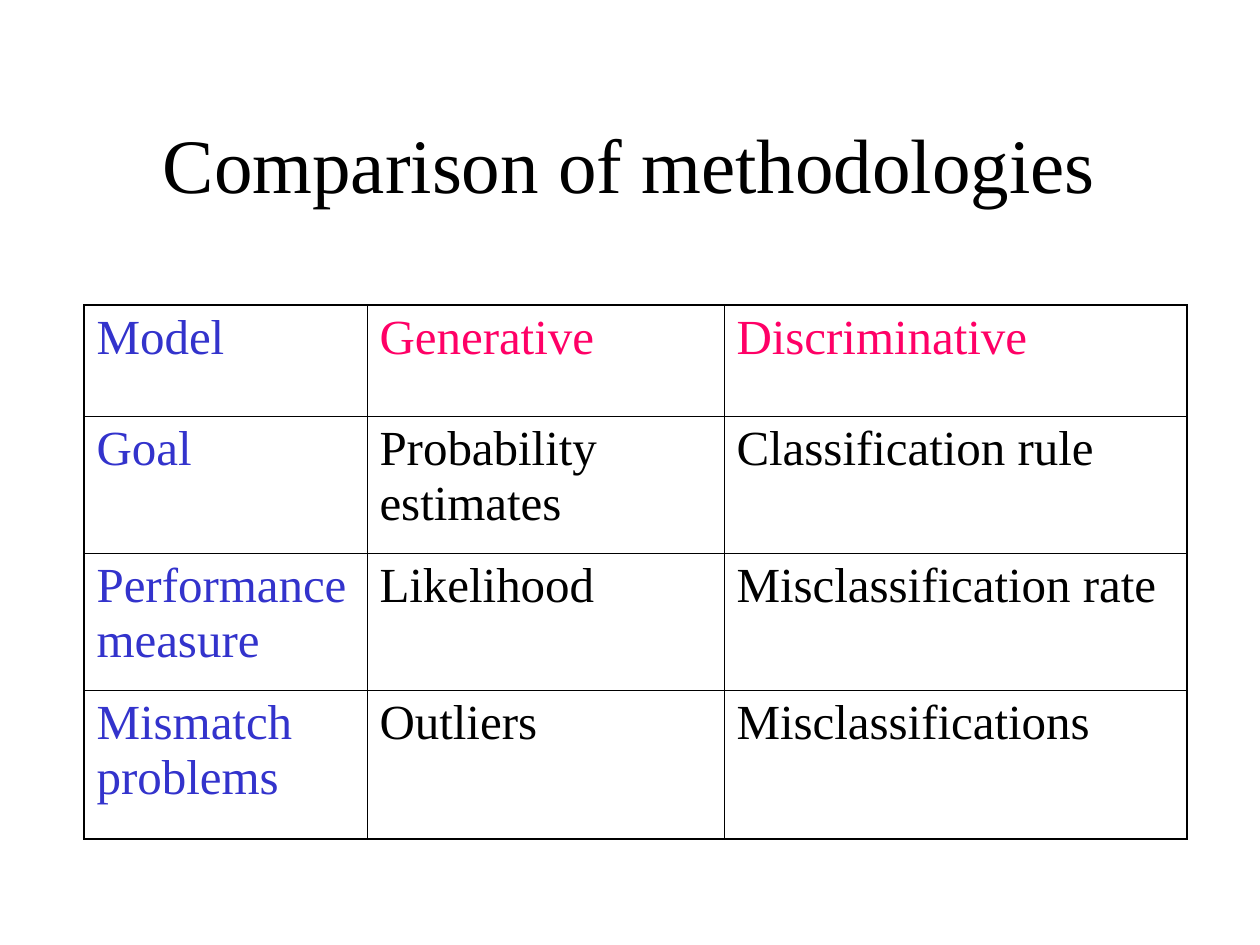
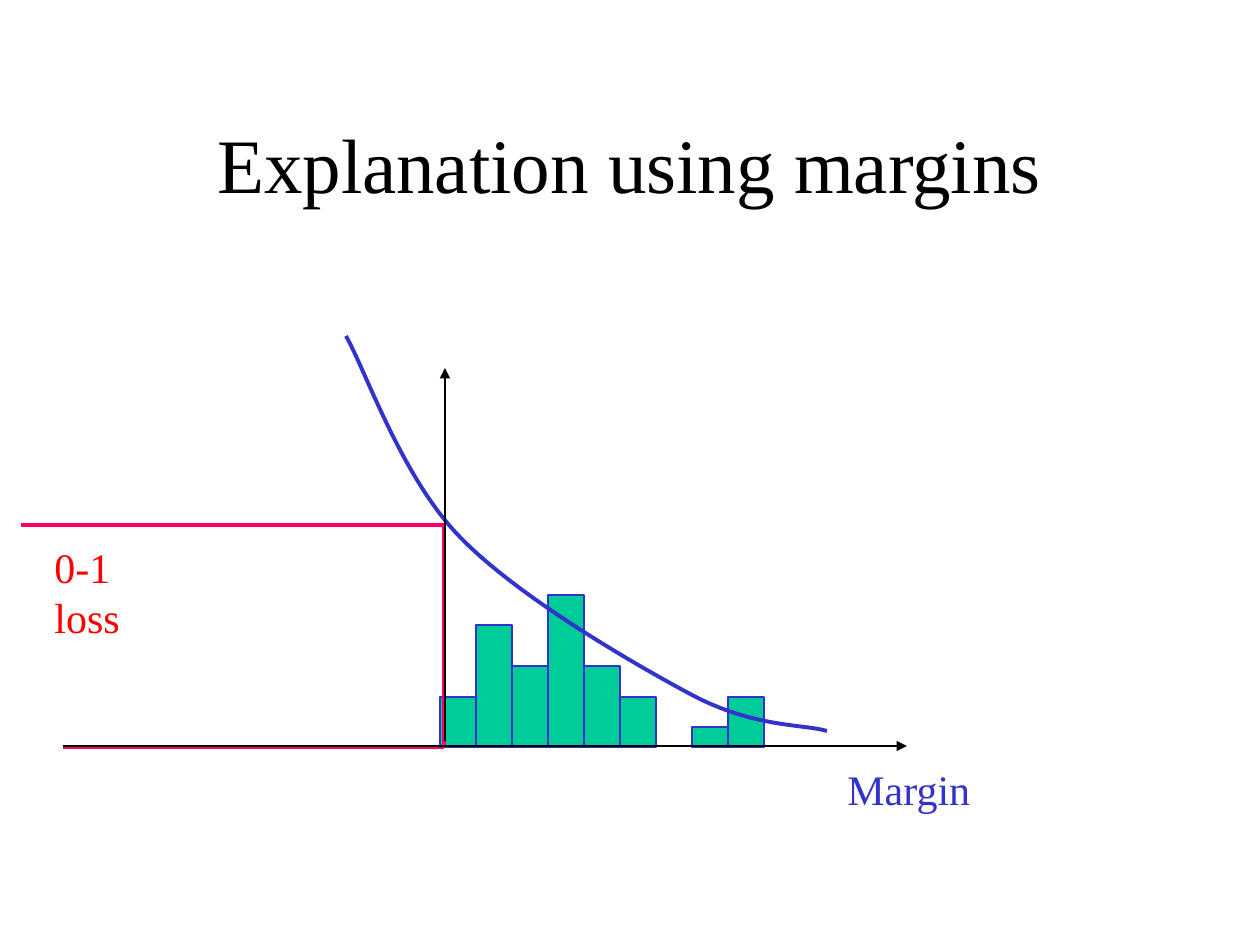
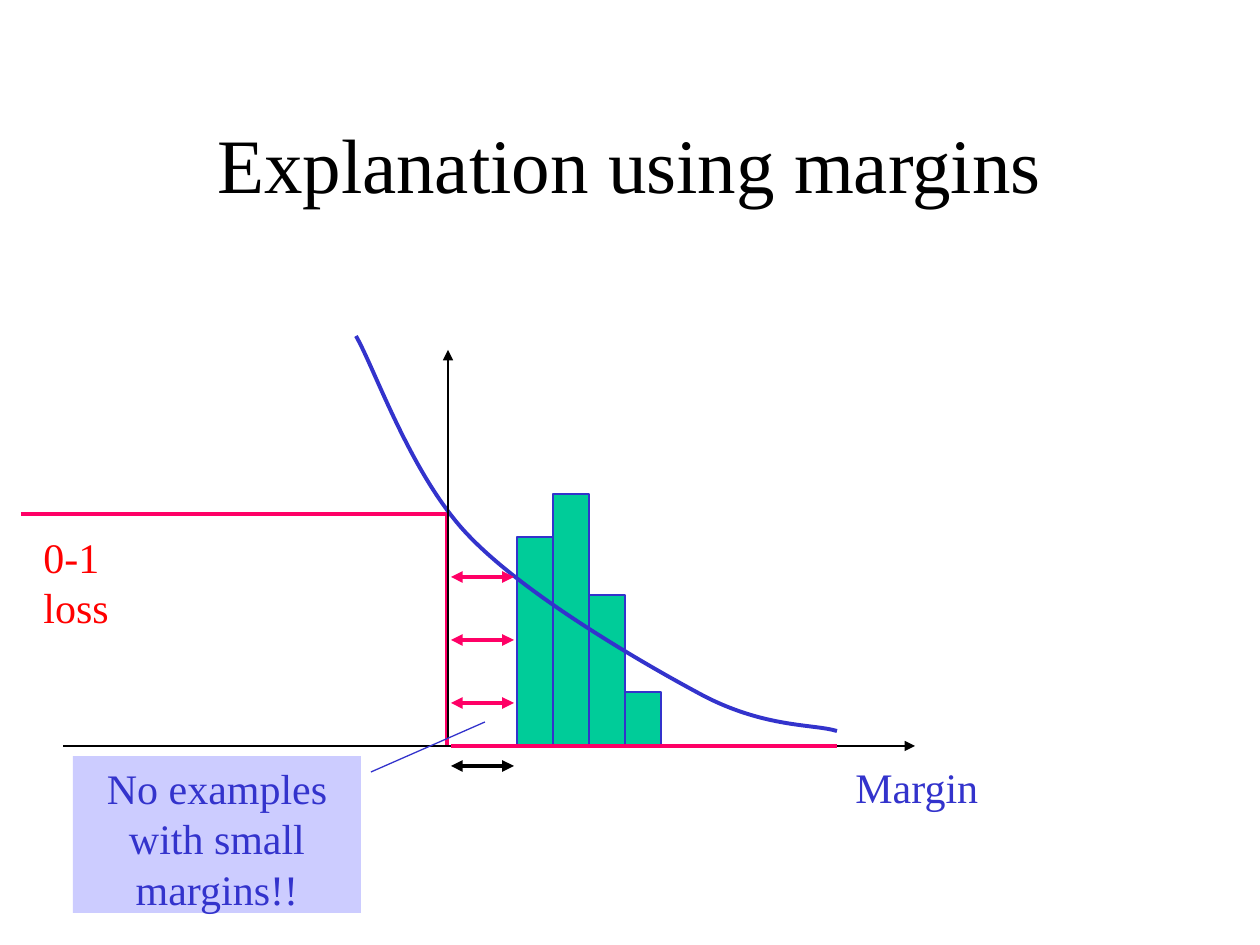
from dataclasses import dataclass

from lxml.etree import SubElement
from pptx import Presentation
from pptx.dml.color import RGBColor
from pptx.enum.shapes import MSO_CONNECTOR, MSO_SHAPE
from pptx.enum.text import MSO_ANCHOR, PP_ALIGN
from pptx.oxml.ns import qn
from pptx.util import Pt

SCALE = 914400 / 126  # EMU in one px


@dataclass(frozen=True)
class Theme:
    font: str = "Times New Roman"
    black: str = "000000"
    blue: str = "3333CC"
    pink: str = "FF0066"
    red: str = "FF0000"
    green: str = "00CC99"
    pale: str = "CCCCFF"
    title: int = 44
    cell: int = 28
    label: int = 24
    thin: float = 0.75
    bold: float = 2.25
    inner: float = 0.45
    outer: float = 1.08


T = Theme()

# Content: table
GRID = {
    "title": "Comparison of methodologies",
    "at": (84, 305),
    "cols": [283, 357, 463],
    "rows": [111, 137, 137, 149],
    "cells": [
        ["Model", "Generative", "Discriminative"],
        ["Goal", "Probability estimates", "Classification rule"],
        ["Performance measure", "Likelihood", "Misclassification rate"],
        ["Mismatch problems", "Outliers", "Misclassifications"],
    ],
}

# Content: margin plots; lines are (x1, y1, x2, y2)
AXIS = {"color": T.black, "width": T.thin, "tail": True}
LOSS = {"color": T.pink, "width": T.bold}
SPAN = {"color": T.pink, "width": T.bold, "head": True, "tail": True}
GAP = SPAN | {"color": T.black}
BAR = 36
CURVE = [(827, 731), (804, 724), (756, 728), (694, 696), (634, 664),
         (518, 597), (460, 537), (402, 478), (365, 369), (346, 336)]

PLOTS = [
    {
        "title": "Explanation using margins",
        "bars": (440, 747, [50, 122, 81, 152, 81, 50, 0, 20, 50]),
        "under": [],
        "loss": [(63, 747, 444, 747), (444, 747, 444, 525), (21, 525, 444, 525)],
        "shift": 0,
        "over": [((445, 741, 445, 368), AXIS), ((63, 746, 907, 746), AXIS)],
        "labels": [("Margin", (835, 757, 149, 63), T.blue),
                   ("0-1 loss", (42, 535, 156, 63), T.red)],
    },
    {
        "title": "Explanation using margins",
        "bars": (517, 745, [208, 251, 150, 53]),
        "under": [((63, 746, 915, 746), AXIS)],
        "loss": [(451, 746, 837, 746), (447, 745, 447, 513), (21, 514, 447, 514)],
        "shift": 10,
        "over": [((448, 738, 448, 350), AXIS)]
                + [((451, y, 514, y), SPAN) for y in (577, 640, 703)]
                + [((451, 766, 514, 766), GAP)],
        "labels": [("Margin", (843, 755, 149, 63), T.blue),
                   ("0-1 loss", (31, 525, 156, 63), T.red)],
        "note": ("No examples with small margins!!", (73, 756, 288, 157),
                 (485, 722, 371, 772)),
    },
]


def emu(*nums):
    return [round(n * SCALE) for n in nums]


def rgb(code):
    return RGBColor.from_string(code)


def write(frame, text, size=T.label, color=T.black, align=PP_ALIGN.LEFT,
          wrap=True, anchor=MSO_ANCHOR.TOP, before=0):
    frame.word_wrap = wrap
    frame.vertical_anchor = anchor
    para = frame.paragraphs[0]
    para.alignment = align
    para.space_before = Pt(before)
    run = para.add_run()
    run.text = text
    run.font.name = T.font
    run.font.size = Pt(size)
    run.font.color.rgb = rgb(color)


def start(deck, title):
    slide = deck.slides.add_slide(deck.slide_layouts[5])
    head = slide.shapes.title
    head.left, head.top, head.width, head.height = emu(94, 84, 1071, 158)
    write(head.text_frame, title, size=T.title, align=PP_ALIGN.CENTER,
          anchor=MSO_ANCHOR.MIDDLE)
    return slide


def box(slide, at, fill, line=None):
    shape = slide.shapes.add_shape(MSO_SHAPE.RECTANGLE, *emu(*at))
    shape.shadow.inherit = False
    shape.fill.solid()
    shape.fill.fore_color.rgb = rgb(fill)
    if line:
        shape.line.color.rgb = rgb(line)
        shape.line.width = Pt(T.thin)
    else:
        shape.line.fill.background()
    return shape


def rule(slide, ends, color, width, head=False, tail=False):
    line = slide.shapes.add_connector(MSO_CONNECTOR.STRAIGHT, *emu(*ends))
    line.line.color.rgb = rgb(color)
    line.line.width = Pt(width)
    props = line._element.spPr
    stroke = props.find(qn("a:ln"))
    for tag, on in (("a:headEnd", head), ("a:tailEnd", tail)):
        if on:
            SubElement(stroke, qn(tag), type="triangle")
    SubElement(props, qn("a:effectLst"))


def bend(slide, points):
    """Draw cubic curves: a start, then two controls and an end for each."""
    pen = slide.shapes.build_freeform(*points[0], scale=SCALE)
    pen.add_line_segments(points[1:], close=False)
    shape = pen.convert_to_shape()
    shape.shadow.inherit = False
    shape.fill.background()
    shape.line.color.rgb = rgb(T.blue)
    shape.line.width = Pt(T.bold)
    steps = list(shape._element.iter(qn("a:lnTo")))
    for i in range(0, len(steps), 3):
        cubic = SubElement(steps[i].getparent(), qn("a:cubicBezTo"))
        for step in steps[i:i + 3]:
            cubic.append(step[0])
            step.getparent().remove(step)


def edge(cell, sides):
    props = cell._tc.get_or_add_tcPr()
    for i, (side, outer) in enumerate(sides.items()):
        width = Pt(T.outer if outer else T.inner)
        line = props.makeelement(qn(f"a:ln{side}"), {"w": str(int(width))})
        fill = SubElement(line, qn("a:solidFill"))
        SubElement(fill, qn("a:srgbClr"), val=T.black)
        props.insert(i, line)


def grid(deck, data):
    slide = start(deck, data["title"])
    cols, rows, cells = data["cols"], data["rows"], data["cells"]
    size = (sum(cols), sum(rows))
    table = slide.shapes.add_table(len(rows), len(cols),
                                   *emu(*data["at"], *size)).table
    table.first_row = table.horz_banding = False
    for col, width in zip(table.columns, emu(*cols)):
        col.width = width
    for row, height in zip(table.rows, emu(*rows)):
        row.height = height
    for r, texts in enumerate(cells):
        for c, text in enumerate(texts):
            cell = table.cell(r, c)
            color = T.blue if c == 0 else T.pink if r == 0 else T.black
            write(cell.text_frame, text, size=T.cell, color=color, before=7)
            cell.fill.background()
            edge(cell, {"L": c == 0, "R": c == len(cols) - 1,
                        "T": r == 0, "B": r == len(rows) - 1})


def plot(deck, data):
    slide = start(deck, data["title"])
    for ends, style in data["under"]:
        rule(slide, ends, **style)
    # Histogram
    left, base, highs = data["bars"]
    for i, high in enumerate(highs):
        if high:
            box(slide, (left + i * BAR, base - high, BAR, high), T.green, T.blue)
    # Step loss, smooth loss and axes
    for ends in data["loss"]:
        rule(slide, ends, **LOSS)
    bend(slide, [(x + data["shift"], y) for x, y in CURVE])
    for ends, style in data["over"]:
        rule(slide, ends, **style)
    # Labels and note
    for text, at, color in data["labels"]:
        area = slide.shapes.add_textbox(*emu(*at))
        write(area.text_frame, text, color=color, wrap=False)
    if "note" in data:
        text, at, lead = data["note"]
        write(box(slide, at, T.pale).text_frame, text, color=T.blue,
              align=PP_ALIGN.CENTER)
        rule(slide, lead, T.blue, T.thin)


def main():
    deck = Presentation()
    deck.slide_width, deck.slide_height = emu(1260, 945)
    grid(deck, GRID)
    for data in PLOTS:
        plot(deck, data)
    deck.save("out.pptx")


if __name__ == "__main__":
    main()
